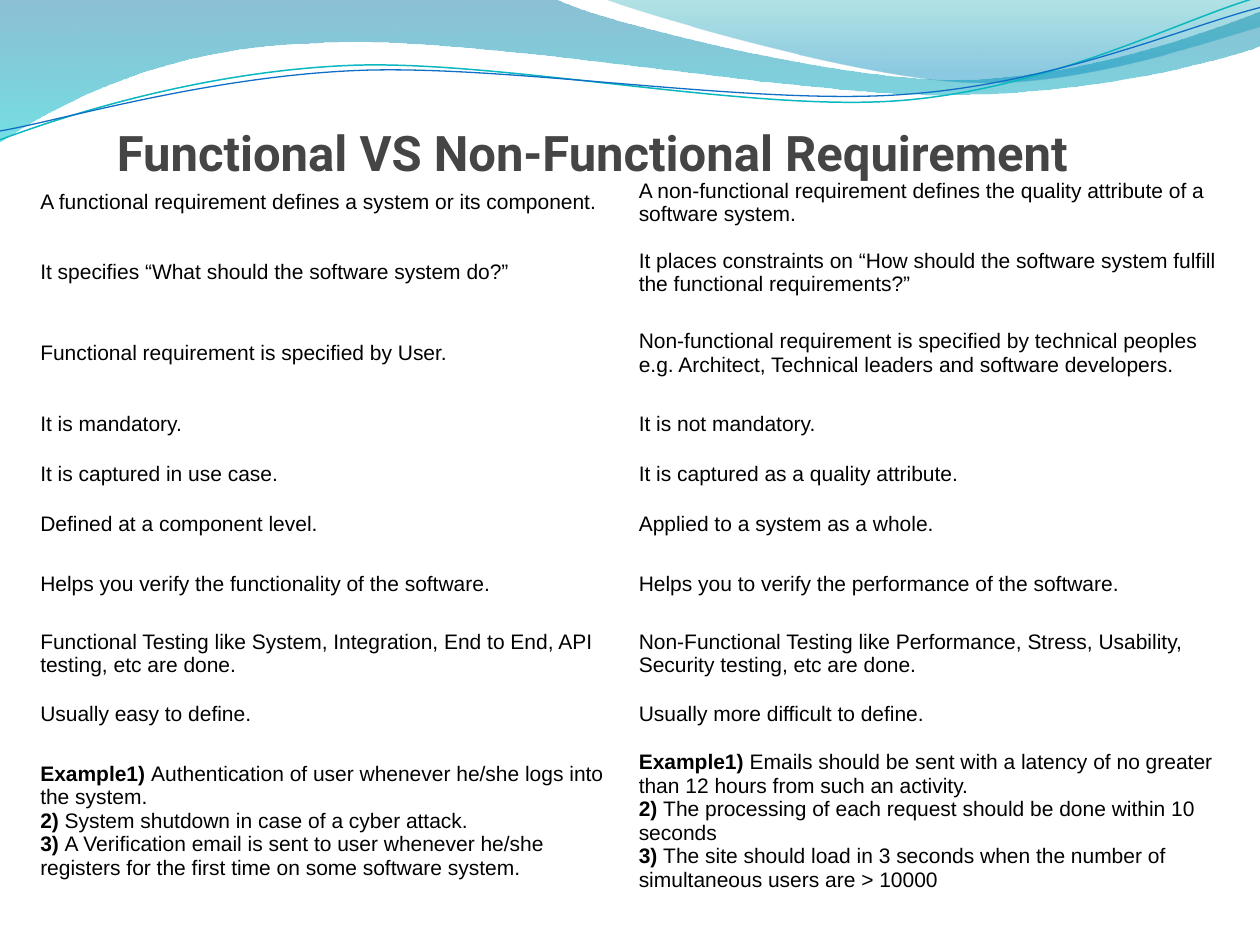
import lxml.etree
import pptx
import pptx.dml.color
import pptx.enum.text
import pptx.oxml.ns
import pptx.util

Inches = pptx.util.Inches
Pt = pptx.util.Pt
qn = pptx.oxml.ns.qn

COLORS = {
    "text": "000000", "title": "454545", "cell": "FFFFFF",
    "deep": "0074A1", "cyan": "00C6CF", "teal": "00A1A9", "sky": "008BBF",
    "teal_line": "0AB8BF", "blue_line": "0F6FC6",
}
HARD_SPACE = chr(160)

LEFT_WAVE = [
    (0, 0), (4.4, -0.01),
    (4.76, 0.17, 6.64, 0.63, 7.58, 0.63), (8.53, 0.63, 9.58, 0.26, 10, 0.09),
    (10.01, 0.36),
    (9.83, 0.44, 8.7, 0.76, 7.46, 0.75), (6.22, 0.75, 3.82, 0.28, 2.57, 0.34),
    (1.29, 0.36, 0.46, 0.83, -0.01, 1.13), (0, 0),
]
RIGHT_WAVE = [
    (4.79, -0.01),
    (5.09, 0.11, 6.82, 0.62, 7.69, 0.65), (8.56, 0.69, 9.61, 0.32, 10, 0.21),
    (10, 0), (4.79, -0.01),
]
TEAL_CURVE = [
    (0, 1.11),
    (0.48, 0.93, 1.58, 0.57, 2.77, 0.52), (3.95, 0.47, 5.93, 0.89, 7.13, 0.8),
    (8.33, 0.71, 9.38, 0.15, 9.98, -0.02),
]
BLUE_CURVE = [
    (0, 1.04),
    (0.47, 0.96, 1.64, 0.61, 2.83, 0.56), (4.03, 0.51, 5.97, 0.84, 7.17, 0.75),
    (8.36, 0.67, 9.41, 0.21, 10, 0.06),
]

COMPARISON = [
    (0.55, "A functional requirement defines a system or its component.",
     "A non-functional requirement defines the quality attribute of a software system."),
    (0.56, "It specifies “What should the software system do?”",
     "It places constraints on “How should the software system fulfill the functional requirements?”"),
    (0.72, "Functional requirement is specified by User.",
     "Non-functional requirement is specified by technical peoples e.g. Architect, "
     "Technical leaders and software developers."),
    (0.4, "It is mandatory.", "It is not mandatory."),
    (0.4, "It is captured in use case.", "It is captured as a quality attribute."),
    (0.4, "Defined at a component level.", "Applied to a system as a whole."),
    (0.55, "Helps you verify the functionality of the software.",
     "Helps you to verify the performance of the software."),
    (0.55, "Functional Testing like System, Integration, End to End, API testing, etc are done.",
     "Non-Functional Testing like Performance, Stress, Usability, Security testing, etc are done."),
    (0.4, "Usually easy to define.", "Usually more difficult to define."),
    (1.21,
     [("Example1)", "Authentication of user whenever he/she logs into the system."),
      ("2)", "System shutdown in case of a cyber attack."),
      ("3)", "A Verification email is sent to user whenever he/she registers "
             "for the first time on some software system.")],
     [("Example1)", "Emails should be sent with a latency of no greater than 12 hours from such an activity."),
      ("2)", "The processing of each request should be done within 10 seconds"),
      ("3)", "The site should load in 3 seconds when the number of simultaneous users are > 10000")]),
]


def rgb(name):
    """Return the named palette colour."""
    return pptx.dml.color.RGBColor.from_string(COLORS[name])


def add_outline(slide, left, top, segments, close):
    """Draw points and cubic curves relative to a corner."""
    points = [(left + Inches(x), top + Inches(y))
              for segment in segments
              for x, y in zip(segment[::2], segment[1::2])]
    builder = slide.shapes.build_freeform(*points[0], scale=1.0)
    builder.add_line_segments(points[1:], close=close)
    outline = builder.convert_to_shape()
    outline.shadow.inherit = False
    strokes = iter(list(outline.element.spPr.iter(qn("a:lnTo"))))
    for segment in segments[1:]:
        stroke = next(strokes)
        if len(segment) == 6:
            curve = lxml.etree.Element(qn("a:cubicBezTo"))
            stroke.addprevious(curve)
            for control in (stroke, next(strokes), next(strokes)):
                curve.append(control[0])
                control.getparent().remove(control)
    return outline


def add_wave(slide, left, top, segments, stops):
    """Draw a wave with a translucent vertical gradient."""
    wave = add_outline(slide, left, top, segments, True)
    wave.line.fill.background()
    wave.fill.gradient()
    wave.fill.gradient_angle = 270
    for stop, (position, color, opacity) in zip(wave.fill.gradient_stops, stops):
        stop.position = position
        stop.color.rgb = rgb(color)
    tints = wave.element.spPr.iter(qn("a:srgbClr"))
    for tint, (position, color, opacity) in zip(tints, stops):
        lxml.etree.SubElement(tint, qn("a:alpha")).set("val", str(opacity * 1000))


def add_curve(slide, left, top, segments, color, width):
    """Draw a thin open curve."""
    curve = add_outline(slide, left, top, segments, False)
    curve.fill.background()
    curve.line.color.rgb = rgb(color)
    curve.line.width = Pt(width)


def add_banner(slide, left, top):
    """Draw the waves and curves across the top."""
    add_wave(slide, left, top, LEFT_WAVE, [(0, "deep", 45), (1, "cyan", 55)])
    add_wave(slide, left, top, RIGHT_WAVE, [(0, "teal", 30), (0.8, "sky", 45)])
    add_curve(slide, left, top, TEAL_CURVE, "teal_line", 0.85)
    add_curve(slide, left, top, BLUE_CURVE, "blue_line", 0.75)


def fill_cell(cell, content):
    """Write a sentence or labelled examples into a cell."""
    cell.fill.solid()
    cell.fill.fore_color.rgb = rgb("cell")
    cell.vertical_anchor = pptx.enum.text.MSO_ANCHOR.MIDDLE
    cell.margin_left = cell.margin_right = Inches(0.07)
    cell.margin_top = cell.margin_bottom = Inches(0.09)
    paragraph = cell.text_frame.paragraphs[0]
    paragraph.font.name = "Arial"
    paragraph.font.size = Pt(12)
    paragraph.font.color.rgb = rgb("text")
    if isinstance(content, str):
        paragraph.add_run().text = content
        return
    for index, (label, example) in enumerate(content):
        if index:
            paragraph.add_line_break()
        heading = paragraph.add_run()
        heading.text = label
        heading.font.bold = True
        paragraph.add_run().text = HARD_SPACE + example


def add_comparison(slide, left, top, width, height):
    """Place the two-column comparison table."""
    frame = slide.shapes.add_table(len(COMPARISON), 2, left, top, width, height)
    comparison = frame.table
    comparison.first_row = comparison.horz_banding = False
    for row, (row_height, *contents) in zip(comparison.rows, COMPARISON):
        row.height = Inches(row_height)
        for cell, content in zip(row.cells, contents):
            fill_cell(cell, content)
    frame.height = height


def add_title(slide, left, top, width, height):
    """Place the slide title."""
    frame = slide.shapes.add_textbox(left, top, width, height).text_frame
    frame.word_wrap = True
    frame.auto_size = pptx.enum.text.MSO_AUTO_SIZE.SHAPE_TO_FIT_TEXT
    title = frame.paragraphs[0]
    title.text = "Functional VS Non-Functional Requirement"
    title.font.name = "Roboto"
    title.font.size = Pt(28)
    title.font.bold = True
    title.font.color.rgb = rgb("title")


def main():
    """Build and save the slide."""
    deck = pptx.Presentation()
    deck.slide_width, deck.slide_height = Inches(10), Inches(7.5)
    slide = deck.slides.add_slide(deck.slide_layouts[6])
    add_banner(slide, Inches(0), Inches(0))
    add_comparison(slide, Inches(0.25), Inches(1.33), Inches(9.5), Inches(5.99))
    add_title(slide, Inches(0.83), Inches(0.92), Inches(9.17), Inches(0.57))
    deck.save("out.pptx")


if __name__ == "__main__":
    main()
